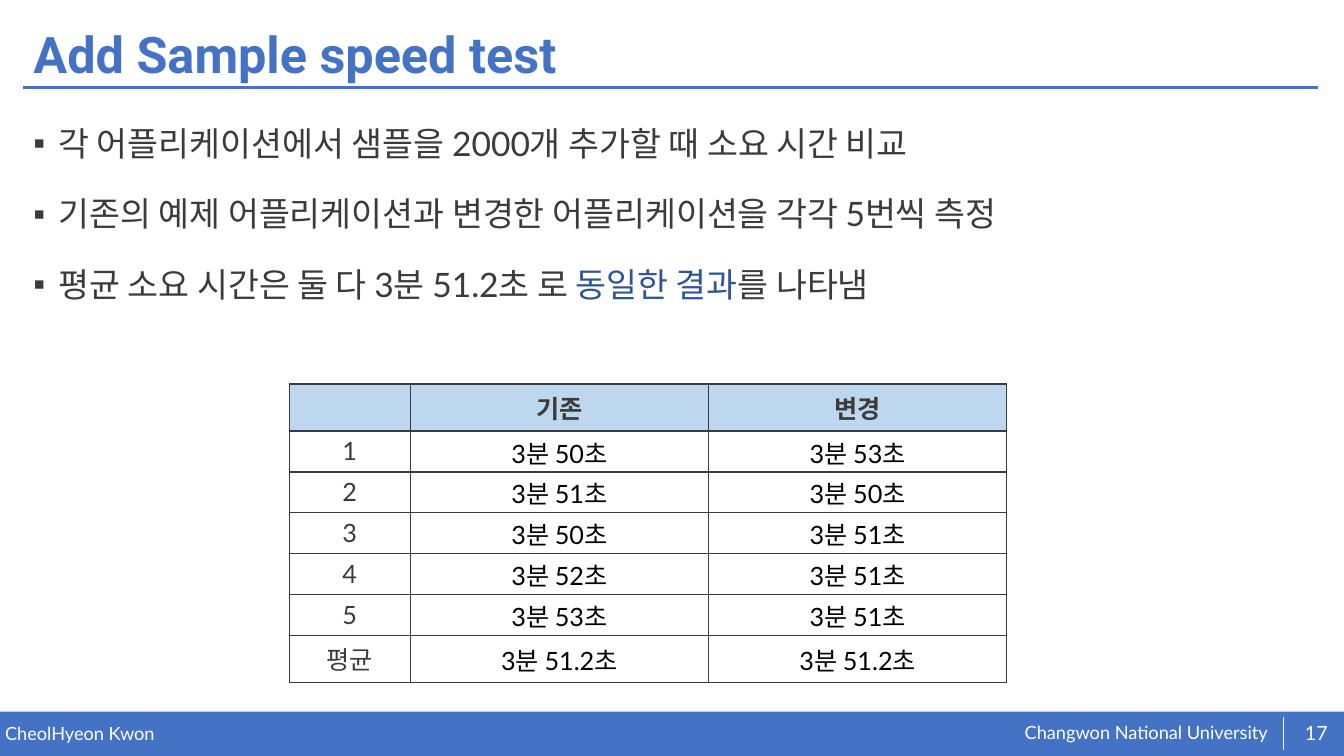
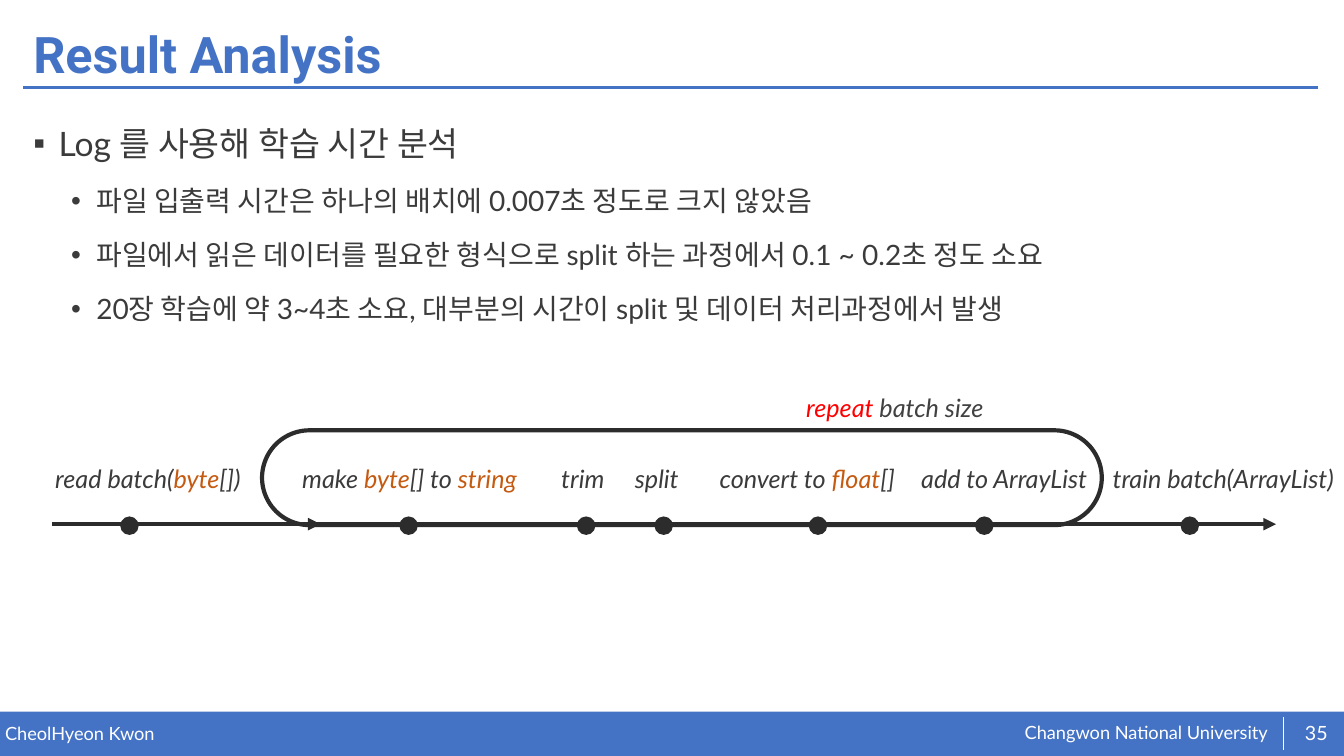
from lxml import etree
from pptx import Presentation
from pptx.dml.color import RGBColor
from pptx.enum import shapes as kinds, text as styles
from pptx.oxml import ns
from pptx.util import Pt

BLUE, WHITE, GRAY, INK = "4472C4", "FFFFFF", "3B3B3B", "2C2C2C"
ORANGE, HEADER_BLUE = "C55A11", "BDD7EE"
rgb = RGBColor.from_string
LEFT, CENTER = styles.PP_ALIGN.LEFT, styles.PP_ALIGN.CENTER
MIDDLE = styles.MSO_ANCHOR.MIDDLE


def write(frame, *runs, size=18, color=GRAY, font="Lato", bold=False,
          italic=False, align=LEFT, inset=None):
    """Add a paragraph; a run is a text or a (text, color) pair."""
    paragraph = frame.paragraphs[-1]
    if paragraph.runs:
        paragraph = frame.add_paragraph()
    paragraph.alignment = align
    for item in runs:
        text, run_color = (item, color) if isinstance(item, str) else item
        run = paragraph.add_run()
        run.text = text
        run.font.name, run.font.size = font, Pt(size)
        run.font.bold, run.font.italic = bold, italic
        run.font.color.rgb = rgb(run_color)
    if inset is not None:
        frame.margin_left = frame.margin_right = Pt(inset)
        frame.margin_top = frame.margin_bottom = Pt(inset)
    return paragraph


def draw_line(slide, start, end, color, width, arrow=False):
    line = slide.shapes.add_connector(
        kinds.MSO_CONNECTOR.STRAIGHT, *map(Pt, start + end))
    line.line.color.rgb = rgb(color)
    line.line.width = Pt(width)
    if arrow:
        etree.SubElement(line.line._get_or_add_ln(), ns.qn("a:tailEnd"), type="triangle")
    etree.SubElement(line.element.spPr, ns.qn("a:effectLst"))
    return line


presentation = Presentation()
presentation.slide_width, presentation.slide_height = Pt(960), Pt(540)

# Layout: title and body places, no default footers
layout = presentation.slide_layouts[1]
title_holder, body_holder, *footers = layout.placeholders
for footer in footers:
    footer.element.getparent().remove(footer.element)
for holder, top, height in ((title_holder, 13, 55.4), (body_holder, 72.7, 405.4)):
    holder.left, holder.top = Pt(16.6), Pt(top)
    holder.width, holder.height = Pt(926), Pt(height)

# Slides with title, bullets and page number
CONTENT = [
    ("Add Sample speed test", "17", [
        (0, ["각 어플리케이션에서 샘플을 2000개 추가할 때 소요 시간 비교"]),
        (0, ["기존의 예제 어플리케이션과 변경한 어플리케이션을 각각 5번씩 측정"]),
        (0, ["평균 소요 시간은 둘 다 3분 51.2초 로 ", ("동일한 결과", "2F5597"), "를 나타냄"]),
    ]),
    ("Result Analysis", "35", [
        (0, ["Log 를 사용해 학습 시간 분석"]),
        (1, ["파일 입출력 시간은 하나의 배치에 0.007초 정도로 크지 않았음"]),
        (1, ["파일에서 읽은 데이터를 필요한 형식으로 split 하는 과정에서 0.1 ~ 0.2초 정도 소요"]),
        (1, ["20장 학습에 약 3~4초 소요, 대부분의 시간이 split 및 데이터 처리과정에서 발생"]),
    ]),
]
# Per level: bullet, left indent, text size, space before
LEVELS = [("▪", 18, 24, 10), ("•", 45, 20, 5)]

slides = []
for title, number, bullets in CONTENT:
    slide = presentation.slides.add_slide(layout)
    slides.append(slide)
    title_frame, body_frame = (holder.text_frame for holder in slide.placeholders)
    title_frame.auto_size = body_frame.auto_size = styles.MSO_AUTO_SIZE.NONE
    title_frame.vertical_anchor = MIDDLE
    paragraph = write(title_frame, title, size=36, color=BLUE, font="Roboto", bold=True)
    paragraph.line_spacing = 0.9

    for index, (level, runs) in enumerate(bullets):
        mark, indent, size, space = LEVELS[level]
        paragraph = write(body_frame, *runs, size=size)
        paragraph.level = level
        paragraph.line_spacing = 1.4
        paragraph.space_before = Pt(space if index else 0)
        properties = paragraph._p.get_or_add_pPr()
        properties.set("marL", str(Pt(indent)))
        properties.set("indent", str(Pt(-18)))
        etree.SubElement(properties, ns.qn("a:buFont"), typeface="Arial")
        etree.SubElement(properties, ns.qn("a:buChar"), char=mark)

# Shared band, rules and footer texts, moved into the layout
slide = slides[0]
band = slide.shapes.add_shape(
    kinds.MSO_SHAPE.RECTANGLE, 0, Pt(508.3), Pt(960), Pt(31.7))
band.shadow.inherit = False
band.fill.solid()
band.fill.fore_color.rgb = rgb(BLUE)
band.line.fill.background()
shared = [
    band,
    draw_line(slide, (16.6, 62.6), (941.8, 62.6), BLUE, 2),
    draw_line(slide, (916.6, 512), (916.6, 535.7), WHITE, 0.5),
]
for text, left, top, width in (("Changwon National University", 732, 515.5, 183),
                               ("CheolHyeon Kwon", 3.6, 516.2, 471.6)):
    box = slide.shapes.add_textbox(Pt(left), Pt(top), Pt(width), Pt(16))
    box.text_frame.word_wrap = True
    write(box.text_frame, text, size=13, color=WHITE, inset=0)
    shared.append(box)
for shape in shared:
    layout.shapes.element.append(shape.element)

# Page numbers
for slide, (title, number, bullets) in zip(slides, CONTENT):
    box = slide.shapes.add_textbox(Pt(923), Pt(509), Pt(34.6), Pt(28.8))
    box.text_frame.word_wrap = True
    box.text_frame.vertical_anchor = MIDDLE
    write(box.text_frame, number, size=14, color=WHITE, align=CENTER, inset=0)

# Slide 1: table of measured times
ROWS = [
    ("", "기존", "변경"),
    ("1", "3분 50초", "3분 53초"),
    ("2", "3분 51초", "3분 50초"),
    ("3", "3분 50초", "3분 51초"),
    ("4", "3분 52초", "3분 51초"),
    ("5", "3분 53초", "3분 51초"),
    ("평균", "3분 51.2초", "3분 51.2초"),
]
COLUMN_WIDTHS = [86.4, 213.1, 213.1]
ROW_HEIGHTS = [33.6] + [29.2] * 5 + [33.6]
table = slides[0].shapes.add_table(
    len(ROWS), len(COLUMN_WIDTHS), Pt(206.6), Pt(274.3),
    Pt(sum(COLUMN_WIDTHS)), Pt(sum(ROW_HEIGHTS))).table
table.first_row = table.horz_banding = False
for column, width in zip(table.columns, COLUMN_WIDTHS):
    column.width = Pt(width)
for row_index, (row, height) in enumerate(zip(ROWS, ROW_HEIGHTS)):
    table.rows[row_index].height = Pt(height)
    header = row_index == 0
    for column_index, text in enumerate(row):
        cell = table.cell(row_index, column_index)
        is_time = not header and column_index > 0
        if is_time:
            cell.vertical_anchor = MIDDLE
            cell.margin_left = cell.margin_right = cell.margin_top = Pt(0.7)
            cell.margin_bottom = 0
        if text:
            write(cell.text_frame, text, bold=header, align=CENTER,
                  color="000000" if is_time else GRAY)
        properties = cell._tc.get_or_add_tcPr()
        for side in "LRTB":
            thick = (row_index, side) in ((0, "B"), (1, "T"))
            border = etree.SubElement(
                properties, ns.qn(f"a:ln{side}"), w=str(Pt(2 if thick else 1)))
            fill = etree.SubElement(border, ns.qn("a:solidFill"))
            etree.SubElement(fill, ns.qn("a:srgbClr"), val=GRAY)
        cell.fill.solid()
        cell.fill.fore_color.rgb = rgb(HEADER_BLUE if header else WHITE)

# Slide 2: timeline and loop
slide = slides[1]
draw_line(slide, (37.4, 374.4), (911.5, 374.4), INK, 3, arrow=True)
loop = slide.shapes.add_shape(
    kinds.MSO_SHAPE.ROUNDED_RECTANGLE, Pt(187.2), Pt(307.4), Pt(599.8), Pt(67.7))
loop.adjustments[0] = 0.5
loop.shadow.inherit = False
loop.fill.background()
loop.line.color.rgb = rgb(INK)
loop.line.width = Pt(3)
draw_line(slide, (208, 374.4), (229, 374.4), INK, 3, arrow=True)

# Step labels: left, top, width, left of the dot, runs
STEP_TOP = 327.6
LABELS = [
    (32.4, STEP_TOP, 206.6, 86.4, ["read batch(", ("byte", ORANGE), "[])"]),
    (208.8, STEP_TOP, 170.6, 285.8,
     ["make ", ("byte", ORANGE), "[] to", (" string", ORANGE)]),
    (393.8, STEP_TOP, 49, 412.6, ["trim"]),
    (446.4, STEP_TOP, 59, 468, ["split"]),
    (506.9, STEP_TOP, 142.6, 578.2, ["convert to", (" float", ORANGE), "[]"]),
    (650.9, STEP_TOP, 142.6, 697, ["add to ArrayList"]),
    (787.7, STEP_TOP, 206.6, 843.8, ["train batch(ArrayList)"]),
    (568.8, 276.5, 154, None, [("repeat", "FF0000"), (" batch size", "414141")]),
]
for left, top, width, dot_left, runs in LABELS:
    box = slide.shapes.add_textbox(Pt(left), Pt(top), Pt(width), Pt(28.8))
    box.text_frame.word_wrap = True
    write(box.text_frame, *runs, italic=True)
    if dot_left is not None:
        dot = slide.shapes.add_shape(
            kinds.MSO_SHAPE.OVAL, Pt(dot_left), Pt(369.4), Pt(12.2), Pt(12.2))
        dot.shadow.inherit = False
        dot.fill.solid()
        dot.fill.fore_color.rgb = dot.line.color.rgb = rgb(INK)
        dot.line.width = Pt(1)

presentation.save("out.pptx")
